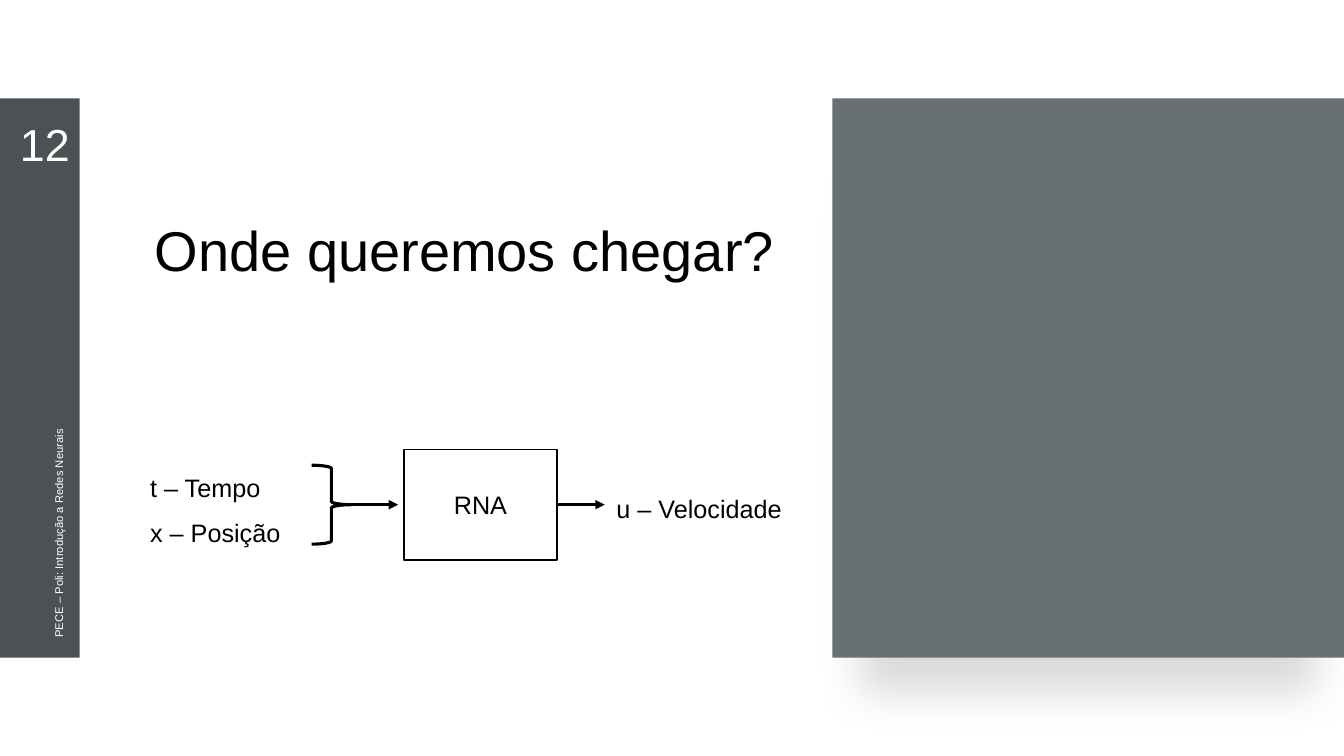
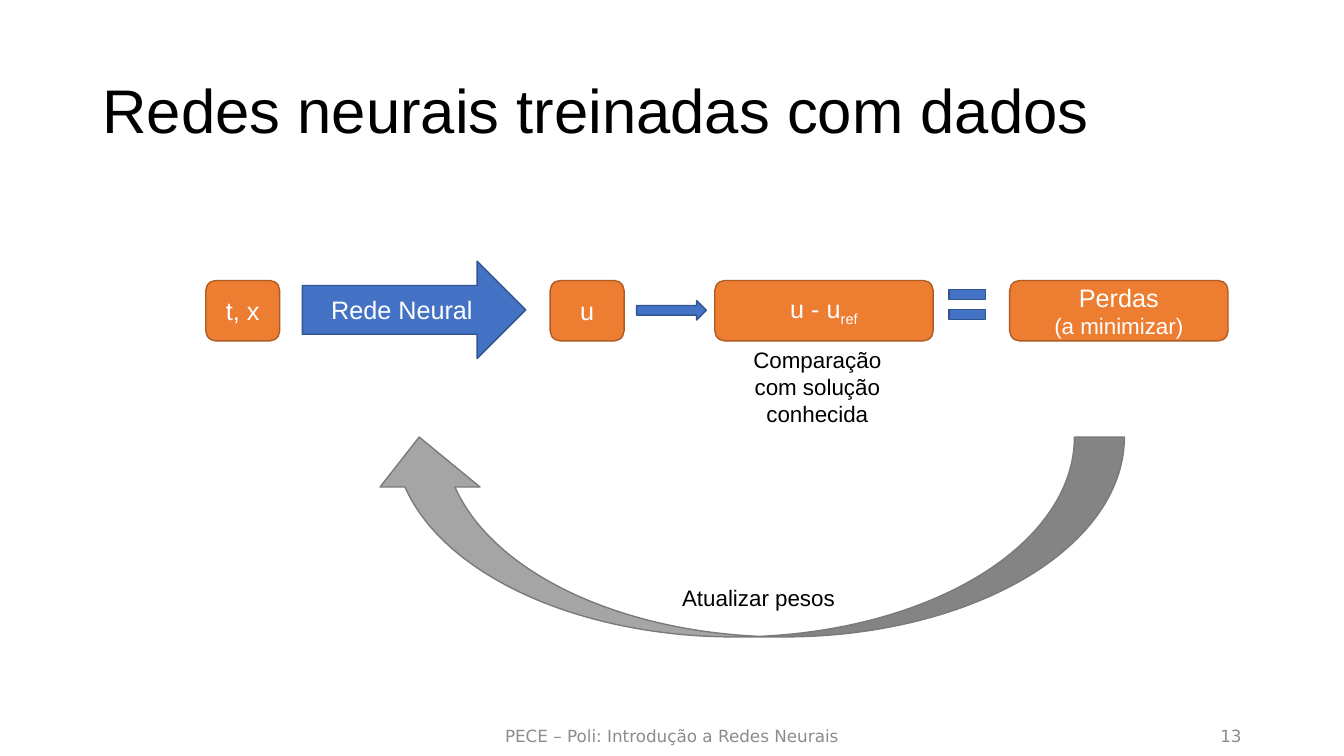
from pptx import Presentation
from pptx.dml.color import RGBColor
from pptx.enum.shapes import MSO_CONNECTOR as Line, MSO_SHAPE as Kind
from pptx.enum.text import MSO_ANCHOR as Anchor, MSO_AUTO_SIZE as Fit, PP_ALIGN as Align
from pptx.oxml import parse_xml
from pptx.oxml.ns import nsdecls, qn
from pptx.util import Inches, Pt


class Theme:
    font, plain = "Arial", "DejaVu Sans"
    black, white = "000000", "FFFFFF"
    band, panel, grey = "4C5254", "687074", "8C8C8C"
    orange = ("ED7D31", "AF5C24")
    blue = ("4472C4", "325491")
    loop = ("A5A5A5", "7A7A7A")
    heads = (40, 44)
    num, text, note, foot, small = 32, 18, 16, 12, 8


# Grid of 16 columns by 9 rows, with square cells
deck = Presentation()
deck.slide_width, deck.slide_height = Inches(13.33), Inches(7.5)
cell = deck.slide_width / 16
course = "PECE – Poli: Introdução a Redes Neurais"


def place(slide, kind, box, fill=None, line=None, thick=1):
    """Add a shape, or a text box when there is no kind."""
    area = [round(n * cell) for n in box]
    if kind is None:
        return slide.shapes.add_textbox(*area)
    shape = slide.shapes.add_shape(kind, *area)
    shape.shadow.inherit = False
    if fill:
        shape.fill.solid()
        shape.fill.fore_color.rgb = RGBColor.from_string(fill)
    else:
        shape.fill.background()
    if line:
        shape.line.color.rgb = RGBColor.from_string(line)
        shape.line.width = Pt(thick)
    else:
        shape.line.fill.background()
    return shape


def write(shape, rows, size, tint=Theme.black, font=Theme.font, frame=None, para=None):
    """Write one paragraph a row, with formats for frame and paragraphs."""
    body = shape.text_frame
    for key, val in {"word_wrap": True, **(frame or {})}.items():
        setattr(body, key, val)
    for i, row in enumerate(rows):
        part = body.add_paragraph() if i else body.paragraphs[0]
        for key, val in (para or {}).items():
            setattr(part, key, val)
        run = part.add_run()
        run.text = row
        look = {"size": Pt(size), "name": font}
        for key, val in look.items():
            setattr(run.font, key, val)
        run.font.color.rgb = RGBColor.from_string(tint)
    return body.paragraphs[-1]


mid = {"vertical_anchor": Anchor.MIDDLE}
low = {"vertical_anchor": Anchor.BOTTOM}
grow = {"auto_size": Fit.SHAPE_TO_FIT_TEXT}
loose = {"word_wrap": False, **grow}
center, right = {"alignment": Align.CENTER}, {"alignment": Align.RIGHT}

# Slides and titles
heads = [
    ("Onde queremos chegar?", (1.72, 2.5, 7.7, 0.94), low),
    ("Redes neurais treinadas com dados", (1.1, 0.48, 13.8, 1.74), mid),
]
pages = []
for (words, box, hold), size in zip(heads, Theme.heads):
    page = deck.slides.add_slide(deck.slide_layouts[5])
    title = page.shapes.title
    for key, val in zip(("left", "top", "width", "height"), box):
        setattr(title, key, round(val * cell))
    write(title, [words], size, frame={"auto_size": Fit.NONE, **hold},
          para={"alignment": Align.LEFT, "line_spacing": 0.9})
    pages.append(page)
goal, train = pages

# Goal: side band with number and course name
top, tall = 1.17, 6.66
place(goal, Kind.RECTANGLE, (0, top, 0.95, tall), Theme.band)
write(place(goal, None, (0, 1.31, 0.95, 0.79)), ["12"], Theme.num, Theme.white,
      frame=mid, para={"space_after": Pt(6), **right})
side = place(goal, None, (-2.06, 4.81, 5.54, 0.26))
side.rotation = 270
write(side, [course], Theme.small, Theme.white, frame=low,
      para={"line_spacing": 0.9, "space_after": Pt(6)})

# Goal: panel with a soft shadow below
panel = place(goal, Kind.RECTANGLE, (9.91, top, 6.09, tall), Theme.panel)
panel.element.spPr.find(qn("a:effectLst")).append(parse_xml(
    f'<a:outerShdw {nsdecls("a")} blurRad="{Pt(32)}" dist="{Pt(25)}" dir="5400000" '
    'sx="89000" sy="89000" algn="b" rotWithShape="0"><a:srgbClr val="000000">'
    '<a:alpha val="15000"/></a:srgbClr></a:outerShdw>'))

# Goal: inputs, network and output
for box, rows in [
    ((1.67, 5.38, 1.81, 1.14), ["t – Tempo", "x – Posição"]),
    ((7.22, 5.64, 2.32, 0.6), ["u – Velocidade"]),
]:
    write(place(goal, None, box), rows, Theme.text, frame=loose, para={"line_spacing": 1.5})
net = place(goal, Kind.RECTANGLE, (4.81, 5.35, 1.82, 1.32), Theme.white, Theme.black)
write(net, ["RNA"], Theme.text, frame=mid, para=center)
place(goal, Kind.RIGHT_BRACE, (3.71, 5.54, 0.47, 0.94), None, Theme.black, 2.25)
for start in (4.18, 6.64):
    ends = [round(n * cell) for n in (start, 6.01, start + 0.56, 6.01)]
    arrow = goal.shapes.add_connector(Line.STRAIGHT, *ends)
    arrow.line.color.rgb = RGBColor.from_string(Theme.black)
    arrow.line.width = Pt(2.25)
    arrow.line._get_or_add_ln().append(
        parse_xml(f'<a:tailEnd {nsdecls("a")} type="triangle"/>'))
    arrow.element.spPr.append(parse_xml(f'<a:effectLst {nsdecls("a")}/>'))

# Training: footer
for left, wide, words, para in [(5.3, 5.4, course, center), (11.3, 3.6, "13", right)]:
    write(place(train, None, (left, 8.52, wide, 0.48)), [words], Theme.foot,
          Theme.grey, Theme.plain, mid, para)

# Training: chain of steps
steps = []
for left, wide, words in [
    (2.45, 0.88, "t, x"), (6.55, 0.88, "u"), (8.51, 2.6, "u - u"), (12.02, 2.6, "Perdas"),
]:
    node = place(train, Kind.FLOWCHART_ALTERNATE_PROCESS, (left, 3.34, wide, 0.72),
                 *Theme.orange)
    steps.append(write(node, [words], Theme.text, Theme.white, frame=mid, para=center))
steps[3].add_line_break()
for step, words, size in [(steps[2], "ref", Theme.text), (steps[3], "(a minimizar)", Theme.note)]:
    run = step.add_run()
    run.text = words
    for key, val in {"size": Pt(size), "name": Theme.font}.items():
        setattr(run.font, key, val)
    run.font.color.rgb = RGBColor.from_string(Theme.white)
steps[2].runs[1].font._element.set("baseline", "-25000")

# Training: links between steps
model = place(train, Kind.RIGHT_ARROW, (3.6, 3.11, 2.66, 1.16), *Theme.blue)
write(model, ["Rede Neural"], Theme.text, Theme.white, frame=mid, para=center)
place(train, Kind.RIGHT_ARROW, (7.58, 3.58, 0.83, 0.23), *Theme.blue)
equal = place(train, Kind.MATH_EQUAL, (11.22, 3.38, 0.59, 0.49), *Theme.blue)
for i, val in enumerate((0.24, 0.25)):
    equal.adjustments[i] = val

# Training: way back and notes
back = place(train, Kind.CURVED_LEFT_ARROW, (7.7, 1.9, 2.38, 8.99), *Theme.loop)
back.rotation = 90
for box, words in [
    ((8.58, 4.06, 2.3, 0.77), "Comparação com solução conhecida"),
    ((7.88, 6.9, 2.3, 0.44), "Atualizar pesos"),
]:
    write(place(train, None, box), [words], Theme.note, frame=grow, para=center)

deck.save("out.pptx")
